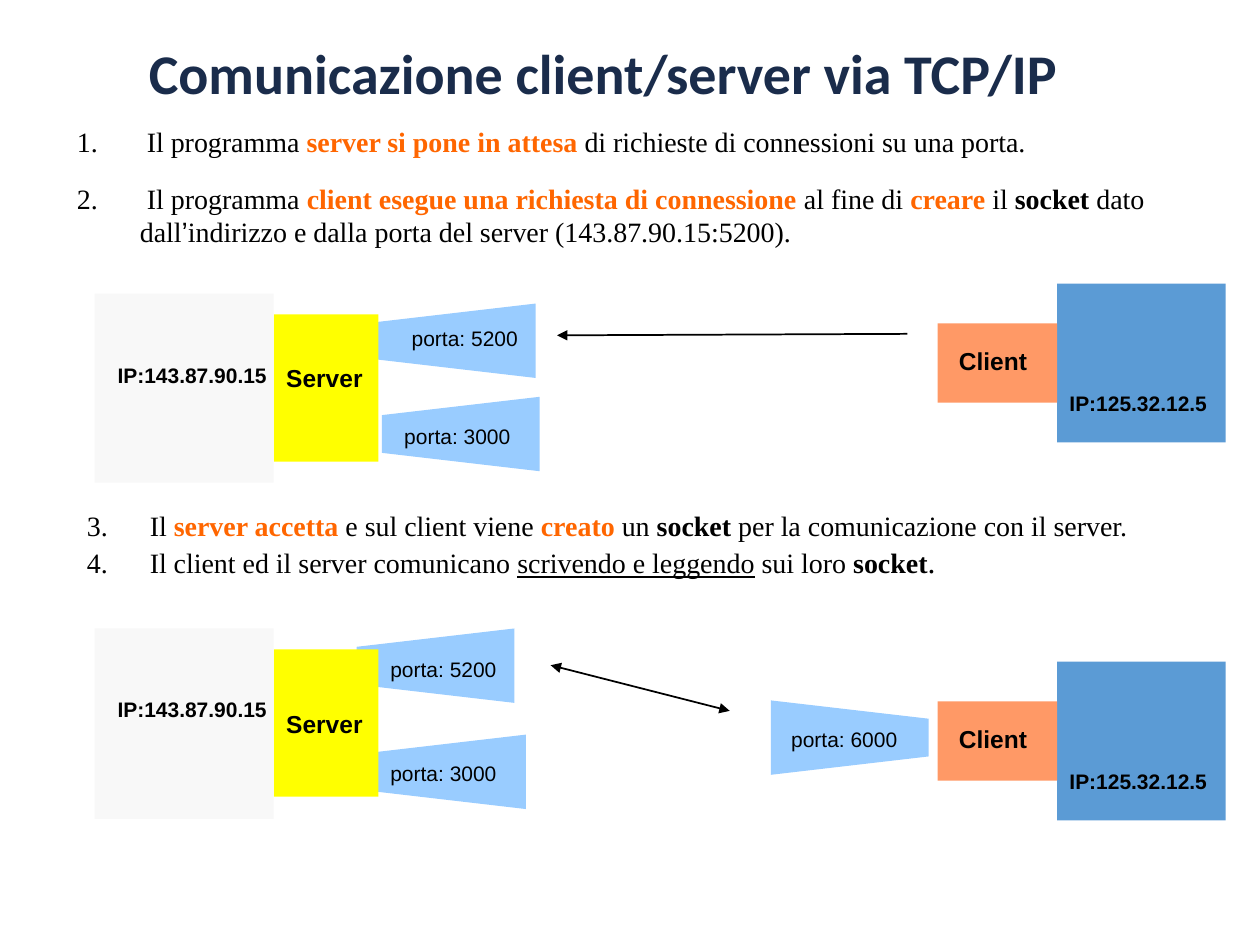
from lxml.etree import SubElement
from pptx import Presentation
from pptx.dml.color import RGBColor as RGB
from pptx.enum.shapes import MSO_CONNECTOR as LineKind, MSO_SHAPE as Shape
from pptx.enum.text import MSO_ANCHOR as Anchor, MSO_AUTO_SIZE as Fit, PP_ALIGN as Align
from pptx.oxml.ns import qn
from pptx.util import Cm, Pt

THEME = {
    "colors": {
        "title": "1A2C4B", "text": "000000", "key": "FF6600", "port": "99CCFF",
        "server": "FFFF00", "server_host": "F8F8F8",
        "client": "FF9966", "client_host": "5B9BD5",
    },
    "fonts": {
        "title": {"name": "Calibri", "size": Pt(32), "bold": True},
        "plain": {"name": "Times New Roman", "size": Pt(16)},
        "key": {"name": "Times New Roman", "size": Pt(16), "bold": True},
        "strong": {"name": "Times New Roman", "size": Pt(16), "bold": True},
        "under": {"name": "Times New Roman", "size": Pt(16), "underline": True},
        "quote": {"name": "Arial", "size": Pt(16)},
        "stop": {"name": "Times New Roman", "size": Pt(18)},
        "port": {"name": "Arial", "size": Pt(12)},
        "address": {"name": "Arial", "size": Pt(12), "bold": True},
        "role": {"name": "Arial", "size": Pt(14), "bold": True},
    },
    "font_colors": {"title": "title", "key": "key"},
}

# Content: lengths in cm
TITLE = "Comunicazione client/server via TCP/IP"
SERVER_IP, CLIENT_IP = "IP:143.87.90.15", "IP:125.32.12.5"

# Each block: (left, top, width, height), first number, steps made of (text, style)
STEP_BLOCKS = [
    ((1.3, 2.39, 19.76, 0.94), 1, [
        [(" Il programma ", "plain"), ("server si pone in attesa", "key"),
         (" di richieste di connessioni su una porta.", "plain")],
    ]),
    ((1.3, 3.53, 22.02, 1.63), 2, [
        [(" Il programma ", "plain"), ("client esegue una richiesta di connessione", "key"),
         (" al fine di ", "plain"), ("creare", "key"), (" il ", "plain"),
         ("socket", "strong"), (" dato dall", "plain"), ("’", "quote"),
         ("indirizzo e dalla porta del server (143.87.90.15:5200).", "plain")],
    ]),
    ((1.5, 10.13, 22.86, 1.7), 3, [
        [("Il ", "plain"), ("server accetta", "key"), (" e sul client viene ", "plain"),
         ("creato", "key"), (" un ", "plain"), ("socket", "strong"),
         (" per la comunicazione con il server.", "plain")],
        [("Il client ed il server comunicano ", "plain"), ("scrivendo e leggendo", "under"),
         (" sui loro ", "plain"), ("socket", "strong"), (".", "stop")],
    ]),
]

# Each port: text, shape left and top, label left and top, side it narrows to
SCENES = [
    {"server_top": 5.92, "host_height": 3.81, "role_top": 7.19, "address_top": 7.19,
     "client_top": 5.72,
     "ports": [("porta: 3000", (7.7, 8), (7.9, 8.41), "left"),
               ("porta: 5200", (7.62, 6.12), (8.05, 6.43), "left")],
     "arrow": ((18.29, 6.73), (11.23, 6.76), ["tailEnd"])},
    {"server_top": 12.67, "host_height": 3.84, "role_top": 14.17, "address_top": 13.92,
     "client_top": 13.34,
     "ports": [("porta: 5200", (7.19, 12.67), (7.62, 13.11), "left"),
               ("porta: 3000", (7.42, 14.81), (7.62, 15.21), "left"),
               ("porta: 6000", (15.54, 14.12), (15.7, 14.53), "right")],
     "arrow": ((14.71, 14.33), (11.1, 13.41), ["headEnd", "tailEnd"])},
]

SERVER_HOST_LEFT, SERVER_LEFT, SERVER_WIDTH, SERVER_HEIGHT = 1.91, 5.52, 2.11, 2.97
CLIENT_LEFT, CLIENT_HOST_LEFT, CLIENT_HOST_WIDTH = 18.9, 21.31, 3.4
PORT_WIDTH, PORT_HEIGHT, PORT_TAPER = 3.18, 1.5, 0.37


def color(key):
    return RGB.from_string(THEME["colors"][key])


def paint(shape, key):
    shape.shadow.inherit = False
    shape.fill.solid()
    shape.fill.fore_color.rgb = color(key)
    shape.line.fill.background()


def add_text_frame(slide, box):
    frame = slide.shapes.add_textbox(*map(Cm, box)).text_frame
    frame.word_wrap = True
    frame.auto_size = Fit.SHAPE_TO_FIT_TEXT
    return frame


def add_run(paragraph, text, style):
    run = paragraph.add_run()
    run.text = text
    for attribute, value in THEME["fonts"][style].items():
        setattr(run.font, attribute, value)
    run.font.color.rgb = color(THEME["font_colors"].get(style, "text"))


def add_label(slide, text, style, box):
    add_run(add_text_frame(slide, box).paragraphs[0], text, style)


def add_block(slide, key, box):
    paint(slide.shapes.add_shape(Shape.RECTANGLE, *map(Cm, box)), key)


def add_port(slide, left, top, narrow_side):
    right, bottom = left + PORT_WIDTH, top + PORT_HEIGHT
    narrow, wide = (left, right) if narrow_side == "left" else (right, left)
    corners = [(wide, top), (narrow, top + PORT_TAPER),
               (narrow, bottom - PORT_TAPER), (wide, bottom)]
    start, *others = [(Cm(x), Cm(y)) for x, y in corners]
    outline = slide.shapes.build_freeform(*start)
    outline.add_line_segments(others, close=True)
    paint(outline.convert_to_shape(), "port")


def add_arrow(slide, start, end, heads):
    arrow = slide.shapes.add_connector(LineKind.STRAIGHT, *map(Cm, start + end))
    arrow.line.color.rgb = color("text")
    arrow.line.width = Pt(1)
    for head in heads:
        SubElement(arrow.line._get_or_add_ln(), qn(f"a:{head}"), type="triangle")
    SubElement(arrow._element.spPr, qn("a:effectLst"))


def add_steps(slide, box, first_number, steps):
    frame = add_text_frame(slide, box)
    for index, step in enumerate(steps):
        paragraph = frame.add_paragraph() if index else frame.paragraphs[0]
        paragraph.alignment = Align.JUSTIFY
        properties = paragraph._p.get_or_add_pPr()
        properties.set("marL", str(Cm(1.27)))
        properties.set("indent", str(Cm(-1.27)))
        bullet_color = SubElement(properties, qn("a:buClr"))
        SubElement(bullet_color, qn("a:srgbClr"), val=THEME["colors"]["text"])
        SubElement(properties, qn("a:buAutoNum"), type="arabicPeriod", startAt=str(first_number))
        for text, style in step:
            add_run(paragraph, text, style)


def add_scene(slide, scene):
    # Ports lie behind the server
    for _, place, _, narrow_side in scene["ports"]:
        add_port(slide, *place, narrow_side)

    # Server and its host
    top = scene["server_top"]
    add_block(slide, "server", (SERVER_LEFT, top + 0.42, SERVER_WIDTH, SERVER_HEIGHT))
    add_block(slide, "server_host", (SERVER_HOST_LEFT, top, SERVER_LEFT - SERVER_HOST_LEFT,
                                     scene["host_height"]))
    add_label(slide, "Server", "role", (SERVER_LEFT, scene["role_top"], 2.33, 0.84))
    add_label(slide, SERVER_IP, "address", (2.12, scene["address_top"], 3.6, 0.76))

    # Client and its host
    top = scene["client_top"]
    add_block(slide, "client_host", (CLIENT_HOST_LEFT, top, CLIENT_HOST_WIDTH, 3.2))
    add_block(slide, "client", (CLIENT_LEFT, top + 0.8, CLIENT_HOST_LEFT - CLIENT_LEFT, 1.6))
    add_label(slide, "Client", "role", (19.08, top + 1.13, 2.21, 0.84))
    add_label(slide, CLIENT_IP, "address", (CLIENT_HOST_LEFT, top + 2.03, CLIENT_HOST_WIDTH, 0.76))

    # Connection and port labels
    add_arrow(slide, *scene["arrow"])
    for text, _, place, _ in scene["ports"]:
        add_label(slide, text, "port", (*place, 3.81, 0.76))


def main():
    deck = Presentation()
    deck.slide_width, deck.slide_height = Cm(25.4), Cm(19.05)
    slide = deck.slides.add_slide(deck.slide_layouts[6])

    # Title
    frame = add_text_frame(slide, (0, 0.53, 24.33, 2.01))
    frame.auto_size = Fit.NONE
    frame.vertical_anchor = Anchor.MIDDLE
    heading = frame.paragraphs[0]
    heading.alignment = Align.CENTER
    heading.line_spacing = 0.9
    add_run(heading, TITLE, "title")

    # Diagrams and numbered steps
    for scene in SCENES:
        add_scene(slide, scene)
    for block in STEP_BLOCKS:
        add_steps(slide, *block)

    deck.save("out.pptx")


if __name__ == "__main__":
    main()
